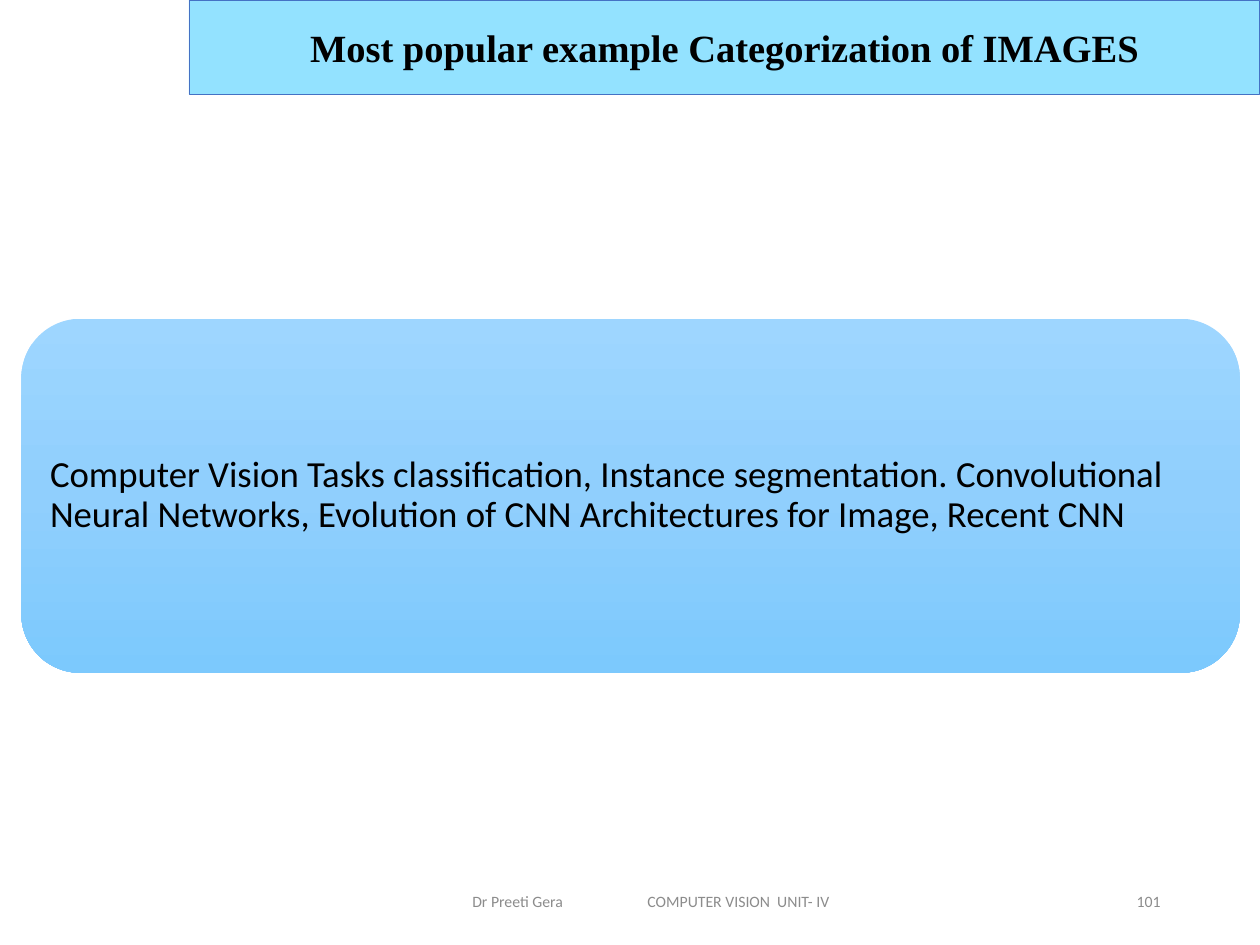
import copy
from dataclasses import dataclass

import pptx
import pptx.dml.color
import pptx.enum.shapes
import pptx.enum.text
import pptx.oxml
import pptx.oxml.ns
import pptx.util
from pptx.util import Inches

ALIGN = pptx.enum.text.PP_ALIGN
SHAPE = pptx.enum.shapes.MSO_SHAPE


@dataclass(frozen=True)
class Theme:
    body_font: str = "Calibri"
    title_font: str = "Times New Roman"
    title_size: float = 22
    body_size: float = 21
    footer_size: float = 9
    ink: str = "000000"
    muted: str = "8C8C8C"
    banner: str = "93E2FF"
    banner_line: str = "4472C4"
    panel: tuple[str, ...] = ("9ED6FF", "90CFFD", "7CC9FD")


@dataclass(frozen=True)
class Box:
    left: float
    top: float
    width: float
    height: float

    def emu(self) -> tuple[int, ...]:
        return tuple(Inches(v) for v in (self.left, self.top, self.width, self.height))


@dataclass(frozen=True)
class Label:
    text: str
    font: str
    size: float
    color: str
    align: int
    bold: bool = False


THEME = Theme()


def rgb(color: str):
    return pptx.dml.color.RGBColor.from_string(color)


def write(s, label: Label):
    """Fill a shape with one middle-anchored paragraph and return it."""
    tf = s.text_frame
    tf.word_wrap = True
    tf.vertical_anchor = pptx.enum.text.MSO_ANCHOR.MIDDLE
    p = tf.paragraphs[0]
    p.alignment = label.align
    r = p.add_run()
    r.text = label.text
    r.font.name = label.font
    r.font.size = pptx.util.Pt(label.size)
    r.font.bold = label.bold
    r.font.color.rgb = rgb(label.color)
    return p


def add_box(slide, kind: int, box: Box):
    s = slide.shapes.add_shape(kind, *box.emu())
    s.shadow.inherit = False
    return s


def add_footer(slide, box: Box, text: str, align: int):
    s = slide.shapes.add_textbox(*box.emu())
    return write(s, Label(text, THEME.body_font, THEME.footer_size, THEME.muted, align))


def set_tab(p, indent: float, stop: float) -> None:
    """Indent the paragraph and give it one left tab stop."""
    pPr = p._p.get_or_add_pPr()
    pPr.set("marL", str(Inches(indent)))
    tabs = pptx.oxml.parse_xml(
        f'<a:tabLst {pptx.oxml.ns.nsdecls("a")}>'
        f'<a:tab pos="{Inches(stop)}" algn="l"/></a:tabLst>'
    )
    pPr.append(tabs)


def fill_gradient(s, colors: tuple[str, ...]) -> None:
    """Evenly spaced gradient running from top to bottom."""
    s.fill.gradient()
    s.fill.gradient_angle = 270
    stops = s._element.spPr.find(".//" + pptx.oxml.ns.qn("a:gsLst"))
    while len(stops) < len(colors):
        stops.append(copy.deepcopy(stops[0]))
    for i, (stop, color) in enumerate(zip(s.fill.gradient_stops, colors)):
        stop.position = i / (len(colors) - 1)
        stop.color.rgb = rgb(color)


def main() -> None:
    prs = pptx.Presentation()
    prs.slide_width, prs.slide_height = Inches(10), Inches(7.5)
    slide = prs.slides.add_slide(prs.slide_layouts[6])

    # Footer and slide number
    p = add_footer(slide, Box(3.31, 6.95, 3.38, 0.4),
                   "Dr Preeti Gera\tCOMPUTER VISION  UNIT- IV", ALIGN.LEFT)
    set_tab(p, indent=0.34, stop=1.39)
    add_footer(slide, Box(7.06, 6.95, 2.25, 0.4), "101", ALIGN.RIGHT)

    # Title banner
    banner = add_box(slide, SHAPE.RECTANGLE, Box(1.5, 0, 8.5, 0.75))
    banner.fill.solid()
    banner.fill.fore_color.rgb = rgb(THEME.banner)
    banner.line.color.rgb = rgb(THEME.banner_line)
    banner.line.width = pptx.util.Pt(0.5)
    write(banner, Label("Most popular example Categorization of IMAGES",
                        THEME.title_font, THEME.title_size, THEME.ink,
                        ALIGN.CENTER, bold=True))

    # Topic panel
    panel = add_box(slide, SHAPE.ROUNDED_RECTANGLE, Box(0.17, 2.53, 9.67, 2.81))
    fill_gradient(panel, THEME.panel)
    panel.line.fill.background()
    tf = panel.text_frame
    tf.margin_left = tf.margin_right = tf.margin_top = tf.margin_bottom = Inches(0.09)
    p = write(panel, Label(
        "Computer Vision Tasks classification, Instance segmentation. "
        "Convolutional Neural Networks, Evolution of CNN Architectures "
        "for Image, Recent CNN",
        THEME.body_font, THEME.body_size, THEME.ink, ALIGN.LEFT))
    p.line_spacing = 0.9

    prs.save("out.pptx")


if __name__ == "__main__":
    main()
